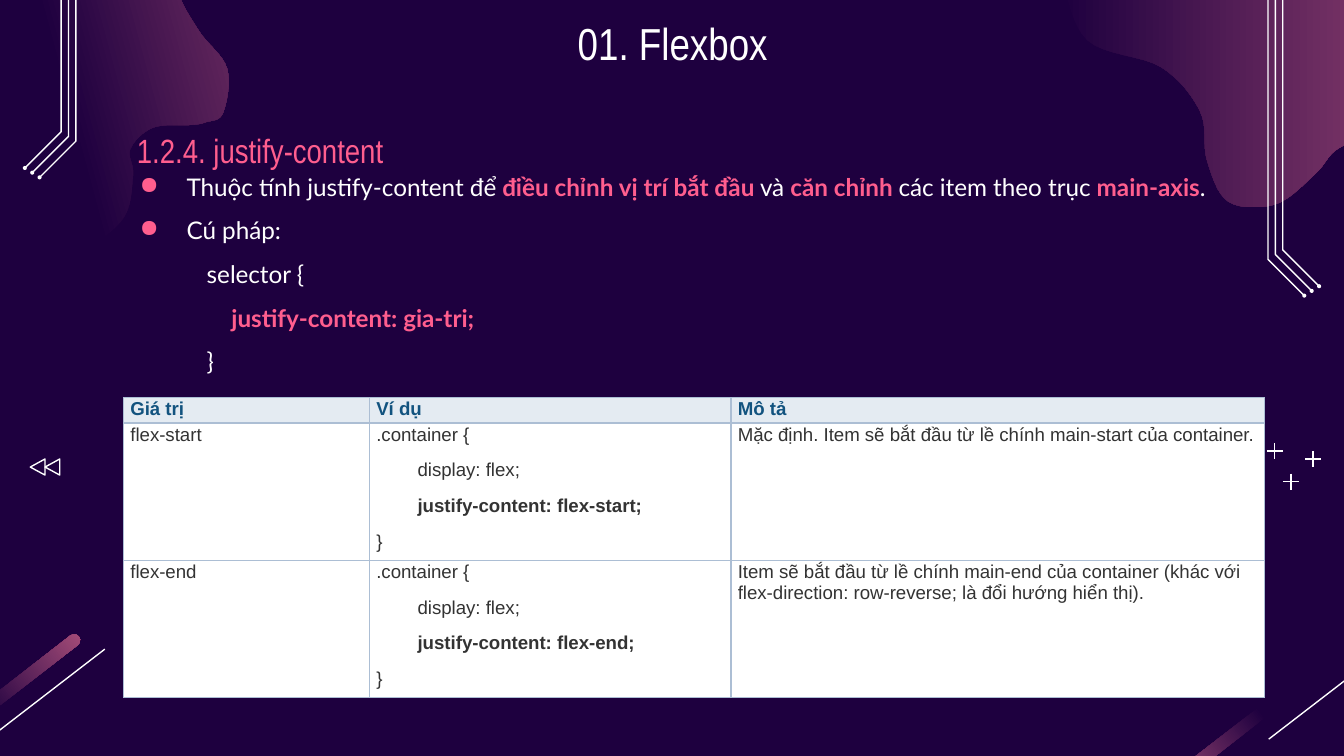
from lxml import etree
from pptx import Presentation
from pptx.dml.color import RGBColor
from pptx.enum.shapes import MSO_CONNECTOR, MSO_SHAPE
from pptx.enum.text import MSO_ANCHOR, PP_ALIGN
from pptx.oxml.ns import qn
from pptx.util import Inches, Pt

STRAIGHT = MSO_CONNECTOR.STRAIGHT
OVAL, TRIANGLE, ROUNDED = MSO_SHAPE.OVAL, MSO_SHAPE.ISOSCELES_TRIANGLE, MSO_SHAPE.ROUNDED_RECTANGLE
TOP, BOTTOM = MSO_ANCHOR.TOP, MSO_ANCHOR.BOTTOM
CENTER = PP_ALIGN.CENTER

# The slide is a grid of 100 columns by 56.25 rows of square cells.
CELL = Inches(0.1)
COLUMNS, ROWS = 100, 56.25
COLORS = {"night": "1E003F", "plum": "A64D79", "white": "FFFFFF", "pink": "FF5E8E",
          "header": "E4EBF2", "header_text": "12537F", "cell_text": "333333", "border": "ACBED4"}

LEFT_BLOB = [(4.8, 19), (9, 16.5), (9.9, 13.1), (9.7, 11.1), (11.4, 9.5), (14.2, 9.3), (15.3, 9.1),
             (16.6, 8.4), (16.9, 5.1), (14.8, 2.3), (13.3, -0.7), (14.3, -3.1), (15.9, -3.9),
             (19, -4.1), (22.3, -4.2), (25.2, -5.8), (25.8, -8.7), (23.3, -13.4), (16.7, -15.1),
             (7, -9.5), (-4.7, -8.2), (-12.8, -6.1), (-17.4, -3), (-19.4, 2.2), (-15.6, 8),
             (-8.8, 9.9), (-4.6, 10.6), (-1.3, 13.3), (-0.3, 16.6)]
RIGHT_BLOB = [(112.5, 3.8), (110.5, -3.5), (105.8, -7.7), (98.9, -8.4), (92.9, -11.3), (89.7, -14.1),
              (85.2, -14.3), (81.9, -12.9), (79.3, -7.8), (78.9, -3.8), (79, -1.8), (80.9, 3),
              (86.4, 5), (89.3, 8.3), (89.8, 11.9), (91.4, 15), (94.9, 15.2), (97.8, 13),
              (99.5, 11.1), (101.8, 10.6), (105.2, 13.8), (111.7, 8.8)]

BODY = [
    (0, [("Thuộc tính justify-content để ", False), ("điều chỉnh vị trí bắt đầu ", True), ("và ", False),
         ("căn chỉnh ", True), ("các item theo trục ", False), ("main-axis", True), (".", False)]),
    (0, [("Cú pháp:", False)]),
    (1, [("selector {", False)]),
    (1, [("    ", False), ("justify-content: gia-tri;", True)]),
    (1, [("}", False)]),
]
HEADINGS = ["Giá trị", "Ví dụ", "Mô tả"]
VALUES = [
    ("flex-start", "Mặc định. Item sẽ bắt đầu từ lề chính main-start của container."),
    ("flex-end", "Item sẽ bắt đầu từ lề chính main-end của container "
                 "(khác với flex-direction: row-reverse; là đổi hướng hiển thị)."),
]


def color(name):
    return RGBColor.from_string(COLORS[name])


def grid(*lengths):
    return [round(length * CELL) for length in lengths]


def set_font(font, size, name, color_name, bold=False):
    font.size, font.name, font.bold = Pt(size), name, bold
    font.color.rgb = color(color_name)


def set_gradient(shape, angle, start=0.5):
    """Fade from night to plum; the angle runs counter-clockwise."""
    shape.shadow.inherit = False
    shape.line.fill.background()
    shape.fill.gradient()
    shape.fill.gradient_angle = angle
    for stop, name, position in zip(shape.fill.gradient_stops, ("night", "plum"), (start, 1)):
        stop.color.rgb, stop.position = color(name), position


def set_outline(shape):
    shape.shadow.inherit = False
    shape.fill.background()
    shape.line.color.rgb, shape.line.width = color("white"), Pt(0.75)


def add_outline(slide, points, close):
    start, *others = [grid(*point) for point in points]
    builder = slide.shapes.build_freeform(*start, scale=1.0)
    builder.add_line_segments(others, close=close)
    return builder.convert_to_shape()


def smooth_loop(anchors, steps=8):
    """Points of a closed Catmull-Rom curve through the anchors."""
    points = []
    for index in range(len(anchors)):
        corners = [anchors[(index + shift) % len(anchors)] for shift in (-1, 0, 1, 2)]
        for step in range(steps):
            t = step / steps
            points.append([b + 0.5 * t * (c - a + t * (2 * a - 5 * b + 4 * c - d
                                                       + t * (3 * (b - c) + d - a)))
                           for a, b, c, d in zip(*corners)])
    return points


def add_line(slide, *ends):
    line = slide.shapes.add_connector(STRAIGHT, *grid(*ends))
    line.line.color.rgb, line.line.width = color("white"), Pt(0.75)
    etree.SubElement(line._element.spPr, qn("a:effectLst"))


def add_streak(slide, center_x, gradient_angle):
    streak = slide.shapes.add_shape(ROUNDED, *grid(center_x - 9.2, 52.55, 18.4, 0.9))
    streak.adjustments[0] = 0.5
    streak.rotation = -37.8
    set_gradient(streak, gradient_angle)
    add_line(slide, center_x + 9.2, 48.3, center_x + 0.5, 55)


def add_circuit(slide, x, top, elbow, side):
    """Three nested lines that bend outwards: side is 1 for right, -1 for left."""
    for index in range(3):
        line_x, line_elbow = x - side * 0.55 * index, elbow + 0.35 * index
        end_x, end_y = line_x + side * 2.7, line_elbow + 2.7
        set_outline(add_outline(
            slide, [(line_x, top), (line_x, line_elbow), (end_x, end_y)], False))
        dot = slide.shapes.add_shape(OVAL, *grid(end_x - 0.15, end_y - 0.15, 0.3, 0.3))
        dot.shadow.inherit = False
        dot.fill.solid()
        dot.fill.fore_color.rgb = color("white")
        dot.line.fill.background()


def add_plus(slide, x, y, arm=0.6):
    add_line(slide, x - arm, y, x + arm, y)
    add_line(slide, x, y - arm, x, y + arm)


def add_decoration(slide):
    set_gradient(add_outline(slide, smooth_loop(LEFT_BLOB), True), 15)
    set_gradient(add_outline(slide, smooth_loop(RIGHT_BLOB), True), 0, start=0)
    add_streak(slide, -1.4, 0)
    add_streak(slide, 93.9, 180)
    add_circuit(slide, 95.45, -11.9, 18.6, 1)
    add_circuit(slide, 4.55, -20.7, 9.8, -1)
    for x, y in [(96.05, 35.85), (97.7, 34.15), (94.85, 33.55)]:
        add_plus(slide, x, y)
    for x in (2.2, 3.3):
        triangle = slide.shapes.add_shape(TRIANGLE, *grid(x, 34.2, 1.2, 1.1))
        triangle.rotation = 270
        set_outline(triangle)


def add_text_box(slide, left, top, width, height, anchor=TOP):
    frame = slide.shapes.add_textbox(*grid(left, top, width, height)).text_frame
    frame.word_wrap, frame.vertical_anchor = True, anchor
    frame.margin_left = frame.margin_right = frame.margin_top = frame.margin_bottom = CELL
    return frame


def add_heading(frame, text, size, color_name):
    paragraph = frame.paragraphs[0]
    paragraph.text = text
    set_font(paragraph.font, size, "Arial Narrow", color_name)
    return paragraph


def set_indent(paragraph, level):
    properties = paragraph._p.get_or_add_pPr()
    left, first = (Inches(0.65), 0) if level else (Inches(0.5), Inches(-0.35))
    properties.set("marL", str(left))
    properties.set("indent", str(first))
    if level:
        etree.SubElement(properties, qn("a:buNone"))
    else:
        bullet_color = etree.SubElement(properties, qn("a:buClr"))
        etree.SubElement(bullet_color, qn("a:srgbClr"), val=COLORS["pink"])
        etree.SubElement(properties, qn("a:buChar"), char="●")


def add_body(frame):
    for index, (level, runs) in enumerate(BODY):
        paragraph = frame.add_paragraph() if index else frame.paragraphs[0]
        paragraph.level = level
        paragraph.line_spacing = 1.5
        set_indent(paragraph, level)
        for text, strong in runs:
            run = paragraph.add_run()
            run.text = text
            set_font(run.font, 13, "Lato", "pink" if strong else "white", strong)


def set_borders(cell):
    properties = cell._tc.get_or_add_tcPr()
    for index, side in enumerate("LRTB"):
        border = etree.Element(qn(f"a:ln{side}"), w=str(Pt(0.75)))
        fill = etree.SubElement(border, qn("a:solidFill"))
        etree.SubElement(fill, qn("a:srgbClr"), val=COLORS["border"])
        properties.insert(index, border)


def fill_cell(cell, lines, fill_name, text_color, bold_lines=()):
    cell.fill.solid()
    cell.fill.fore_color.rgb = color(fill_name)
    cell.margin_left = cell.margin_right = Inches(0.05)
    cell.margin_top = cell.margin_bottom = Inches(0.01)
    set_borders(cell)
    for index, line in enumerate(lines):
        paragraph = cell.text_frame.add_paragraph() if index else cell.text_frame.paragraphs[0]
        paragraph.text = line
        if index:
            paragraph.space_before = Pt(8)
        set_font(paragraph.font, 10, "Arial", text_color, index in bold_lines)


def add_value_table(slide, widths=(18.3, 26.9, 39.7), heights=(1.8, 9.8, 9.8)):
    table = slide.shapes.add_table(
        len(heights), len(widths), *grid(9.2, 29.6, sum(widths), sum(heights))).table
    table.first_row = table.horz_banding = False
    for column, width in zip(table.columns, grid(*widths)):
        column.width = width
    for row, height in zip(table.rows, grid(*heights)):
        row.height = height
    for column, heading in enumerate(HEADINGS):
        fill_cell(table.cell(0, column), [heading], "header", "header_text", (0,))
    for row, (value, description) in enumerate(VALUES, 1):
        example = [".container {", "        display: flex;", f"        justify-content: {value};", "}"]
        for column, lines in enumerate(([value], example, [description])):
            fill_cell(table.cell(row, column), lines, "white", "cell_text", (2,))


def main():
    presentation = Presentation()
    presentation.slide_width, presentation.slide_height = grid(COLUMNS, ROWS)
    slide = presentation.slides.add_slide(presentation.slide_layouts[6])
    slide.background.fill.solid()
    slide.background.fill.fore_color.rgb = color("night")
    add_decoration(slide)
    add_body(add_text_box(slide, 7.9, 10.7, 84.3, 18.7))
    title = add_heading(add_text_box(slide, 7.9, 0.2, 84.3, 6.3), "01. Flexbox", 24, "white")
    title.alignment = CENTER
    section = add_heading(add_text_box(slide, 9.2, 9.2, 70.2, 4.5, BOTTOM),
                          "1.2.4. justify-content", 18, "pink")
    section.line_spacing, section.space_after = 1.15, Pt(12)
    add_value_table(slide)
    presentation.save("out.pptx")


if __name__ == "__main__":
    main()
